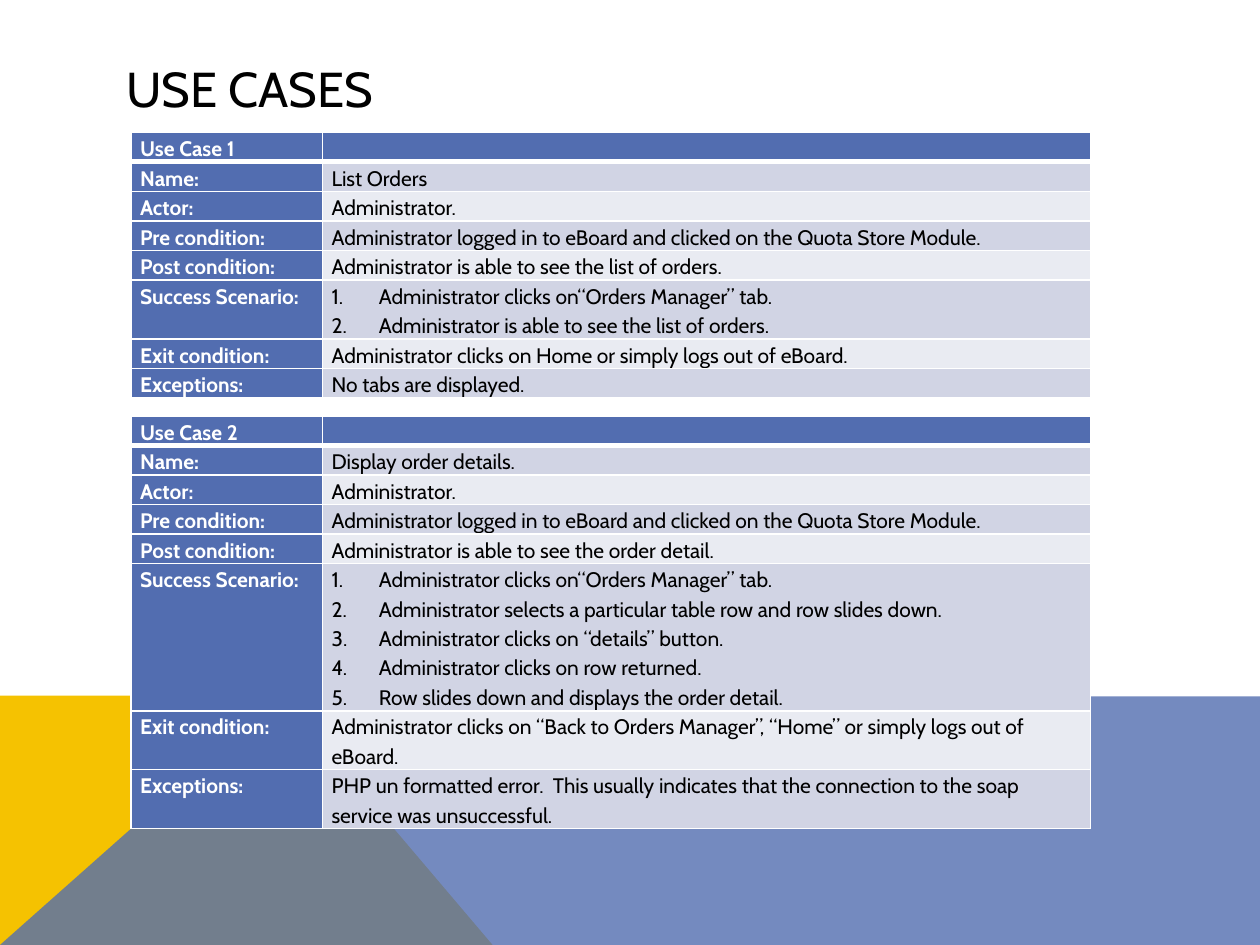
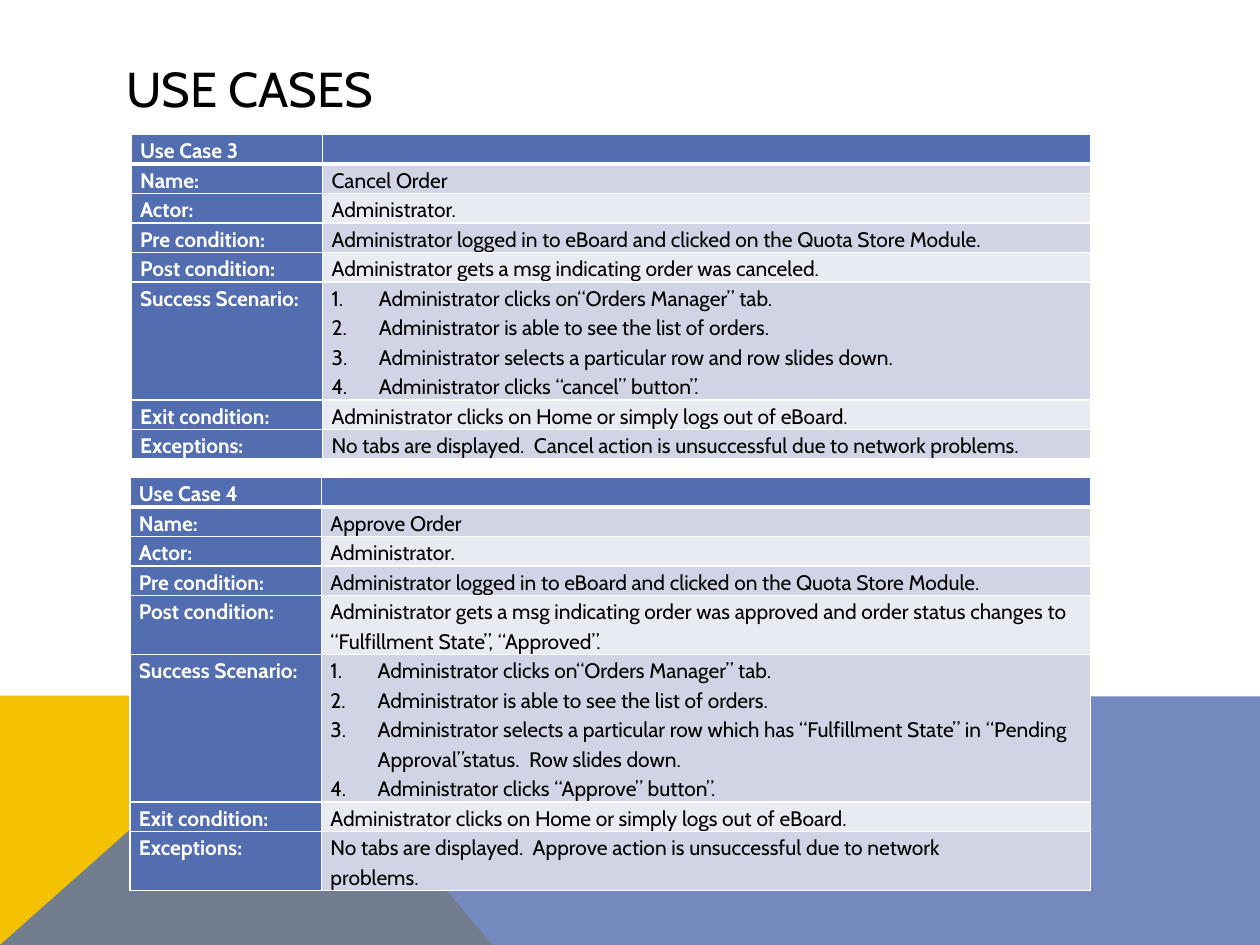
import math

from lxml import etree
from pptx import Presentation
from pptx import util as u
from pptx.dml.color import RGBColor
from pptx.enum import text
from pptx.oxml import ns

Pt = u.Pt
FONT = "Cabin"
COLORS = {
    "black": "000000",
    "white": "FFFFFF",
    "blue": "526DB0",
    "yellow": "F5C201",
    "band_dark": "D1D4E4",
    "band_light": "E9EBF2",
}

TITLE = "USE CASES"
NUMBERED = "Success Scenario:"
LABELS = ["Name:", "Actor:", "Pre condition:", "Post condition:",
          NUMBERED, "Exit condition:", "Exceptions:"]
ACTOR = "Administrator."
LOGGED_IN = "Administrator logged in to eBoard and clicked on the Quota Store Module."
OPEN_TAB = "Administrator clicks on“Orders Manager” tab."
SEE_ORDERS = "Administrator is able to see the list of orders."
LEAVE = "Administrator clicks on Home or simply logs out of eBoard."

# Each answer is one string, or a list with one string per paragraph.
SLIDES = [
    [
        {"heading": "Use Case 1", "left": 74.9, "top": 75.6, "answers": [
            "List Orders", ACTOR, LOGGED_IN, SEE_ORDERS,
            [OPEN_TAB, SEE_ORDERS],
            LEAVE,
            "No tabs are displayed."]},
        {"heading": "Use Case 2", "left": 74.9, "top": 237.6, "answers": [
            "Display order details.", ACTOR, LOGGED_IN,
            "Administrator is able to see the order detail.",
            [OPEN_TAB,
             "Administrator selects a particular table row and row slides down.",
             "Administrator clicks on “details” button.",
             "Administrator clicks on row returned.",
             "Row slides down and displays the order detail."],
            "Administrator clicks on “Back to Orders Manager”, “Home” "
            "or simply logs out of eBoard.",
            "PHP un formatted error.  This usually indicates that the "
            "connection to the soap service was unsuccessful."]},
    ],
    [
        {"heading": "Use Case 3", "left": 74.9, "top": 76.9, "answers": [
            "Cancel Order", ACTOR, LOGGED_IN,
            "Administrator gets a msg indicating order was canceled.",
            [OPEN_TAB, SEE_ORDERS,
             "Administrator selects a particular row and row slides down.",
             "Administrator clicks “cancel” button”."],
            LEAVE,
            "No tabs are displayed.  Cancel action is unsuccessful due to "
            "network problems."]},
        {"heading": "Use Case 4", "left": 74.2, "top": 272.9, "answers": [
            "Approve Order", ACTOR, LOGGED_IN,
            "Administrator gets a msg indicating order was approved and order "
            "status changes to “Fulfillment State”, “Approved”.",
            [OPEN_TAB, SEE_ORDERS,
             "Administrator selects a particular row which has “Fulfillment "
             "State” in “Pending Approval”status.  Row slides down.",
             "Administrator clicks “Approve” button”."],
            LEAVE,
            ["No tabs are displayed.  Approve action is unsuccessful due to network",
             "problems."]]},
    ],
]

SLIDE_W, SLIDE_H = 720, 540
BAND_TOP, BAND_PEAK = 397.5, 160.6
BANDS = [
    ("yellow", 100, [(0, SLIDE_H), (0, BAND_TOP), (BAND_PEAK, BAND_TOP),
                     (281.5, SLIDE_H)]),
    ("blue", 80, [(0, SLIDE_H), (BAND_PEAK, BAND_TOP), (SLIDE_W, BAND_TOP + 0.5),
                  (SLIDE_W, SLIDE_H)]),
]
TABLE_RIGHT, LABEL_W = 623.3, 109.4
LINE_H, LINE_CHARS = 16.8, 80


def rgb(name):
    return RGBColor.from_string(COLORS[name])


def child(parent, tag, **attributes):
    """Append a DrawingML element to parent."""
    element = etree.SubElement(parent, ns.qn(f"a:{tag}"))
    for key, value in attributes.items():
        element.set(key, str(value))
    return element


def write(frame, paragraphs, size=12, color="black", bold=False,
          spacing=None, tab=None, numbered=False):
    frame.word_wrap = True
    for index, words in enumerate(paragraphs):
        paragraph = frame.add_paragraph() if index else frame.paragraphs[0]
        paragraph.alignment = text.PP_ALIGN.LEFT
        properties = paragraph._p.get_or_add_pPr()
        if numbered:
            properties.set("marL", str(Pt(27)))
            properties.set("indent", str(-Pt(27)))
            child(properties, "buFont", typeface="+mj-lt")
            child(properties, "buAutoNum", type="arabicPeriod")
        if tab:
            child(child(properties, "tabLst"), "tab", pos=Pt(tab), algn="l")
        if spacing:
            paragraph.line_spacing = spacing
        if not words:
            child(paragraph._p, "endParaRPr", sz=size * 100)
            continue
        run = paragraph.add_run()
        run.text = words
        run.font.name, run.font.size, run.font.bold = FONT, Pt(size), bold
        run.font.color.rgb = rgb(color)


def set_borders(cell, top=1, bottom=1):
    properties = cell._tc.get_or_add_tcPr()
    for side, width in (("L", 1), ("R", 1), ("T", top), ("B", bottom)):
        line = child(properties, f"ln{side}", w=Pt(width))
        child(child(line, "solidFill"), "srgbClr", val=COLORS["white"])


def add_bands(slide, layout):
    """Draw the corner bands and hand them to the shared layout."""
    for position, (color, opacity, corners) in enumerate(BANDS):
        points = [(Pt(x), Pt(y)) for x, y in corners]
        builder = slide.shapes.build_freeform(*points[0])
        builder.add_line_segments(points[1:], close=True)
        band = builder.convert_to_shape()
        band.shadow.inherit = False
        band.line.fill.background()
        band.fill.solid()
        band.fill.fore_color.rgb = rgb(color)
        if opacity < 100:
            tint = band._element.spPr.find(".//" + ns.qn("a:srgbClr"))
            child(tint, "alpha", val=opacity * 1000)
        layout.shapes._spTree.insert(2 + position, band._element)


def add_title(slide):
    title = slide.shapes.title
    title.left, title.top, title.width, title.height = map(Pt, (64.8, 28.8, 591.8, 43.2))
    title.text_frame.auto_size = text.MSO_AUTO_SIZE.NONE
    title.text_frame.vertical_anchor = text.MSO_ANCHOR.MIDDLE
    write(title.text_frame, [TITLE], size=28)


def add_use_case(slide, case):
    rows = [(case["heading"], [""])]
    for label, answer in zip(LABELS, case["answers"]):
        rows.append((label, [answer] if isinstance(answer, str) else answer))
    heights = [LINE_H * sum(max(1, math.ceil(len(words) / LINE_CHARS)) for words in answer)
               for _, answer in rows]
    width = TABLE_RIGHT - case["left"]
    table = slide.shapes.add_table(len(rows), 2, Pt(case["left"]), Pt(case["top"]),
                                   Pt(width), Pt(sum(heights))).table
    table.horz_banding = False
    table.columns[0].width, table.columns[1].width = Pt(LABEL_W), Pt(width - LABEL_W)

    for r, (label, answer) in enumerate(rows):
        table.rows[r].height = Pt(heights[r])
        for c, paragraphs in enumerate(([label], answer)):
            cell = table.cell(r, c)
            cell.margin_left = cell.margin_right = Pt(5.2)
            cell.margin_top = cell.margin_bottom = 0
            set_borders(cell, top=3 if r == 1 else 1, bottom=3 if r == 0 else 1)
            strong = r == 0 or c == 0
            cell.fill.solid()
            cell.fill.fore_color.rgb = rgb(
                "blue" if strong else "band_dark" if r % 2 else "band_light")
            write(cell.text_frame, paragraphs, color="white" if strong else "black",
                  bold=strong, spacing=1.15, tab=35.3,
                  numbered=c == 1 and label == NUMBERED)


def main():
    deck = Presentation()
    deck.slide_width, deck.slide_height = Pt(SLIDE_W), Pt(SLIDE_H)
    layout = deck.slide_layouts.get_by_name("Title Only")
    for number, cases in enumerate(SLIDES):
        slide = deck.slides.add_slide(layout)
        if number == 0:
            add_bands(slide, layout)
        add_title(slide)
        for case in cases:
            add_use_case(slide, case)
    deck.save("out.pptx")


if __name__ == "__main__":
    main()
